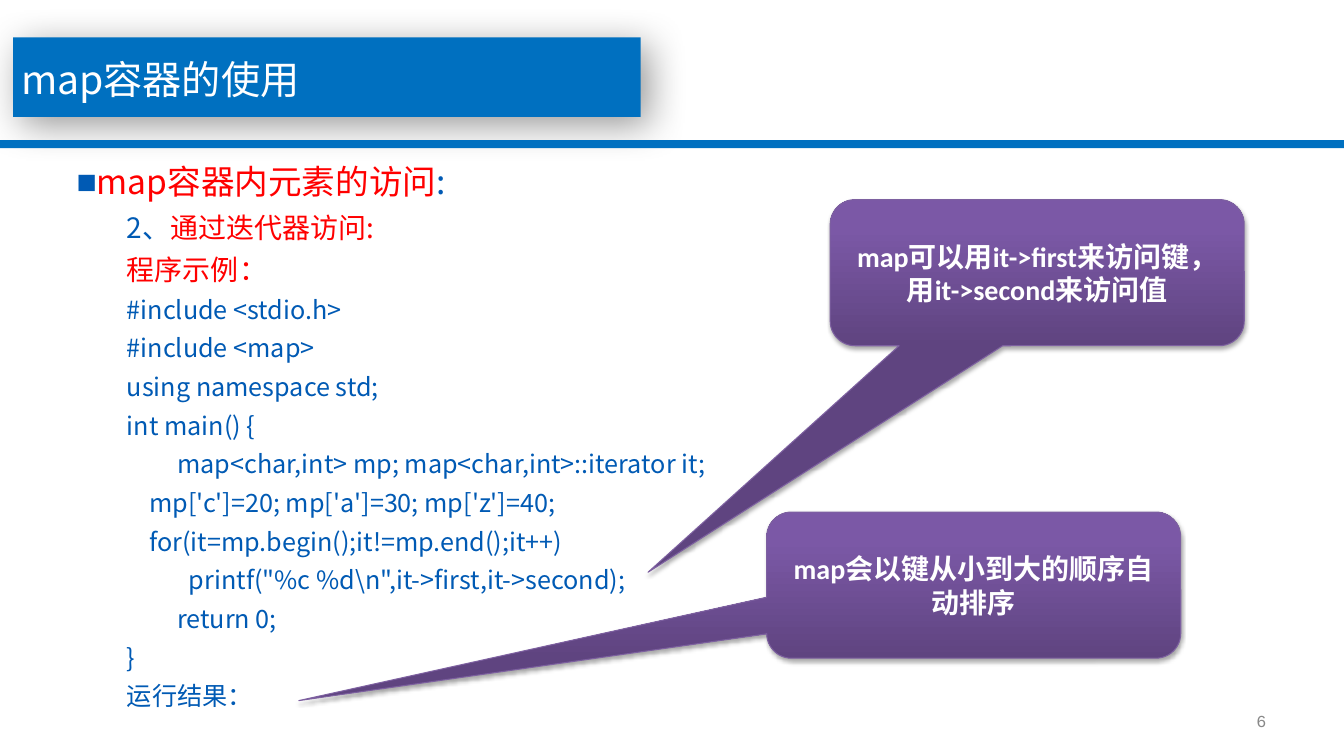
from pptx import Presentation
from pptx.dml.color import RGBColor
from pptx.enum.shapes import MSO_SHAPE as Shape
from pptx.enum.text import MSO_ANCHOR as Anchor, MSO_AUTO_SIZE as Fit, PP_ALIGN as Align
from pptx.oxml import parse_xml
from pptx.oxml.ns import nsdecls
from pptx.util import Inches, Pt

BLUE = RGBColor(0x00, 0x70, 0xC0)
INK = RGBColor(0x00, 0x5A, 0xB4)
RED = RGBColor(0xFF, 0x00, 0x00)
WHITE = RGBColor(0xFF, 0xFF, 0xFF)
GREY = RGBColor(0x89, 0x89, 0x89)
EDGE = RGBColor(0x7D, 0x60, 0xA0)
STOPS = [(0, "5F4480"), (80, "7B58A6"), (100, "7C57A8")]
SANS = "Noto Sans CJK SC"
LEAD = 1.2  # line height as a multiple of the text size

TITLE = "map容器的使用"
HEADS = [  # size, line factor, runs
    (24, 1.5, [("map容器内元素的访问", RED), (":", INK)]),
    (20, 1, [("2、", INK), ("通过迭代器访问:", RED)]),
    (20, 1, [("程序示例：", RED)]),
]
CODE = r"""#include <stdio.h>
#include <map>
using namespace std;
int main() {
   	map<char,int> mp; map<char,int>::iterator it; 
    mp['c']=20; mp['a']=30; mp['z']=40;
    for(it=mp.begin();it!=mp.end();it++)
           printf("%c %d\n",it->first,it->second);
	return 0;
}
运行结果：""".split("\n")
CALLS = [  # left, top, tip offset, text
    (8.24, 1.98, (-0.94, 2.05), "map可以用it->first来访问键，用it->second来访问值"),
    (7.61, 5.08, (-1.63, 0.79), "map会以键从小到大的顺序自动排序"),
]


def xml(text):
    head, tail = text.split(">", 1) if "/>" not in text.split(">", 1)[0] + ">" else (text[:-2], "/>")
    return parse_xml(f"{head} {nsdecls('a')}" + (tail if tail == "/>" else ">" + tail))


def place(shape, left, top, width, height):
    shape.left, shape.top = Inches(left), Inches(top)
    shape.width, shape.height = Inches(width), Inches(height)


def style(para, size, font, color=None, align=Align.LEFT):
    para.alignment = align
    para.font.size, para.font.name = Pt(size), font
    if color is not None:
        para.font.color.rgb = color


def block(kind, left, top, width, height):
    shape = slide.shapes.add_shape(
        kind, Inches(left), Inches(top), Inches(width), Inches(height))
    shape.shadow.inherit = False
    return shape


def shade(shape, alpha, blur, dist, angle):
    shape._element.spPr.find("{*}effectLst").append(xml(
        f'<a:outerShdw blurRad="{Pt(blur)}" dist="{Pt(dist)}" dir="{angle * 60000}"'
        f' algn="ctr" rotWithShape="0"><a:srgbClr val="000000">'
        f'<a:alpha val="{alpha * 1000}"/></a:srgbClr></a:outerShdw>'))


def bullet(para, first):
    props = para._p.get_or_add_pPr()
    props.set("marL", str(0 if first else Inches(0.5)))
    props.set("indent", "0")
    if first:
        props.append(xml(f'<a:buClr><a:srgbClr val="{INK}"/></a:buClr>'))
        props.append(xml('<a:buFont typeface="Arial"/>'))
        props.append(xml('<a:buChar char="■"/>'))
    else:
        para.level = 1
        props.append(xml("<a:buNone/>"))


deck = Presentation()
deck.slide_width, deck.slide_height = Inches(13.34), Inches(7.5)
slide = deck.slides.add_slide(deck.slide_layouts[1])
title, body = slide.placeholders

# Banner and rule, with the placeholders raised above them
banner = block(Shape.RECTANGLE, 0.13, 0.37, 6.23, 0.79)
shade(banner, 40, 28, 8, 45)
rule = block(Shape.RECTANGLE, 0, 1.39, 13.34, 0.08)
for bar in (banner, rule):
    bar.fill.solid()
    bar.fill.fore_color.rgb = BLUE
    bar.line.fill.background()
for holder in (title, body):
    slide.shapes._spTree.append(holder._element)

place(title, 0.21, 0.55, 6.14, 0.47)
frame = title.text_frame
frame.text = TITLE
frame.auto_size, frame.vertical_anchor = Fit.NONE, Anchor.TOP
frame.margin_left = frame.margin_right = frame.margin_top = frame.margin_bottom = 0
para = frame.paragraphs[0]
para.line_spacing = Pt(28 * LEAD)
style(para, 28, SANS, WHITE)

place(body, 0.66, 1.35, 12.28, 5.81)
frame = body.text_frame
frame.auto_size, frame.vertical_anchor = Fit.NONE, Anchor.TOP
lines = HEADS + [(18, 1, [(line, INK)]) for line in CODE]
for i, (size, factor, runs) in enumerate(lines):
    para = frame.add_paragraph() if i else frame.paragraphs[0]
    bullet(para, i == 0)
    para.space_before, para.space_after = Pt(0), Pt(6)
    para.line_spacing = Pt(size * LEAD * factor)
    style(para, size, SANS, align=Align.JUSTIFY)
    for text, color in runs:
        run = para.add_run()
        run.text = text
        run.font.color.rgb = color

for left, top, tip, text in CALLS:
    call = block(Shape.ROUNDED_RECTANGULAR_CALLOUT, left, top, 4.11, 1.45)
    for i, value in enumerate(tip + (0.17,)):
        call.adjustments[i] = value
    stops = "".join(f'<a:gs pos="{pos * 1000}"><a:srgbClr val="{color}"/></a:gs>'
                    for pos, color in STOPS)
    call._element.spPr.insert(2, xml(
        f'<a:gradFill rotWithShape="1"><a:gsLst>{stops}</a:gsLst>'
        '<a:lin ang="16200000" scaled="0"/></a:gradFill>'))
    call.line.color.rgb, call.line.width = EDGE, Pt(0.75)
    shade(call, 35, 3.1, 1.8, 90)
    frame = call.text_frame
    frame.text, frame.word_wrap = text, True
    frame.vertical_anchor = Anchor.MIDDLE
    style(frame.paragraphs[0], 20, "Calibri", WHITE, Align.CENTER)
    frame.paragraphs[0].font.bold = True

number = slide.shapes.add_textbox(Inches(9.56), Inches(6.95), Inches(3.11), Inches(0.4))
frame = number.text_frame
frame.text, frame.word_wrap = "6", True
frame.vertical_anchor = Anchor.MIDDLE
style(frame.paragraphs[0], 12, "Courier New", GREY, Align.RIGHT)

deck.save("out.pptx")
